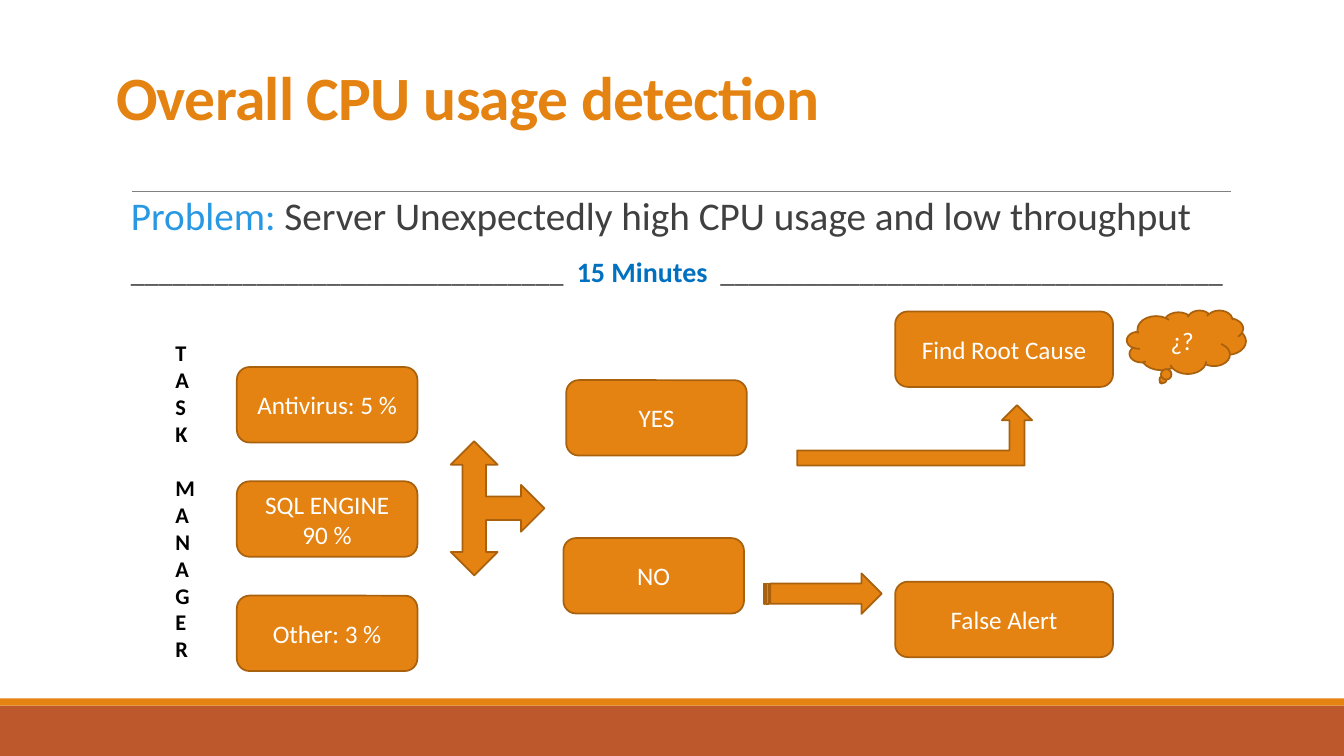
"""Build the slide on detecting overall CPU usage."""
from lxml.etree import SubElement
from pptx import Presentation
from pptx.dml.color import RGBColor
from pptx.enum.shapes import MSO_CONNECTOR, MSO_SHAPE
from pptx.enum.text import MSO_ANCHOR, MSO_AUTO_SIZE, PP_ALIGN
from pptx.oxml.ns import qn
from pptx.util import Cm, Pt

ORANGE, RUST, EDGE = "E48312", "BD582C", "A9610D"
TITLE = "Overall CPU usage detection"
BODY = [
    [("Problem:", 28, "2998E3", False),
     (" Server Unexpectedly high CPU usage and low throughput", 28, "404040", False)],
    [("_" * 31 + "  ", 20, "404040", False),
     ("15 Minutes", 20, "0070C0", True),
     ("  " + "_" * 36, 20, "404040", False)],
]
SIDE_WORDS = ["TASK", "MANAGER"]
PROCESSES = ["Antivirus: 5 %", "SQL ENGINE 90 %", "Other: 3 %"]
PROCESS_LEFT, PROCESS_TOP, PROCESS_STEP = 5.97, 9.25, 2.88
BOX_WIDTH, WIDE_BOX, BOX_HEIGHT = 4.55, 5.49, 1.9
STEPS = [
    ("YES", 14.27, 9.58, BOX_WIDTH),
    ("NO", 14.2, 13.56, BOX_WIDTH),
    ("Find Root Cause", 22.56, 7.85, WIDE_BOX),
    ("False Alert", 22.56, 14.66, WIDE_BOX),
]
SYMBOLS = [
    (MSO_SHAPE.LEFT_RIGHT_UP_ARROW, (10.85, 11.63, 3.38, 2.36), 90, ""),
    (MSO_SHAPE.BENT_UP_ARROW, (20.09, 10.21, 5.92, 1.52), 0, ""),
    (MSO_SHAPE.STRIPED_RIGHT_ARROW, (19.25, 14.45, 2.97, 1.02), 0, ""),
    (MSO_SHAPE.CLOUD_CALLOUT, (28.4, 7.82, 3, 1.6), 0, "¿?"),
]
BANDS = [(17.78, 1.27, RUST), (17.6, 0.18, ORANGE)]
PAGE_WIDTH, PAGE_HEIGHT = 33.87, 19.05


def color(value):
    return RGBColor.from_string(value)


def apply(target, values):
    for name, value in values.items():
        setattr(target, name, value)


def place(shape, area):
    sides = ("left", "top", "width", "height")
    apply(shape, dict(zip(sides, map(Cm, area))))


def add_span(para, text, size, tint, bold=False):
    span = para.add_run()
    span.text = text
    apply(span.font, {"name": "Calibri", "size": Pt(size), "bold": bold})
    span.font.color.rgb = color(tint)
    return span


def add_figure(page, kind, area, fill=ORANGE, edge=EDGE, text="", turn=0):
    figure = page.shapes.add_shape(kind, *map(Cm, area))
    apply(figure, {"rotation": turn})
    figure.shadow.inherit = False
    figure.fill.solid()
    figure.fill.fore_color.rgb = color(fill)
    if edge:
        figure.line.color.rgb = color(edge)
        figure.line.width = Pt(1.25)
    else:
        figure.line.fill.background()
    if text:
        apply(figure.text_frame, {"word_wrap": True, "vertical_anchor": MSO_ANCHOR.MIDDLE})
        para = figure.text_frame.paragraphs[0]
        para.alignment = PP_ALIGN.CENTER
        add_span(para, text, 18, "FFFFFF")


def add_rule(page):
    rule = page.shapes.add_connector(
        MSO_CONNECTOR.STRAIGHT, Cm(3.33), Cm(4.83), Cm(31.01), Cm(4.83))
    rule.line.color.rgb = color("808080")
    rule.line.width = Pt(0.5)
    SubElement(rule._element.spPr, qn("a:effectLst"))


def fill_title(title):
    place(title, (2.67, 1.04, 27.94, 2.44))
    apply(title.text_frame, {"vertical_anchor": MSO_ANCHOR.BOTTOM, "word_wrap": True,
                             "auto_size": MSO_AUTO_SIZE.NONE})
    para = title.text_frame.paragraphs[0]
    apply(para, {"alignment": PP_ALIGN.LEFT, "line_spacing": 0.85})
    span = add_span(para, TITLE, 44, ORANGE, True)
    span.font._element.set("spc", "-50")


def fill_body(body):
    place(body, (3.05, 4.83, 27.94, 11.18))
    frame = body.text_frame
    apply(frame, {"margin_left": 0, "margin_right": 0, "word_wrap": True,
                  "vertical_anchor": MSO_ANCHOR.TOP, "auto_size": MSO_AUTO_SIZE.NONE})
    for index, spans in enumerate(BODY):
        para = frame.add_paragraph() if index else frame.paragraphs[0]
        layout = para._p.get_or_add_pPr()
        layout.set("marL", str(Cm(0.25)))
        layout.set("indent", "0")
        SubElement(layout, qn("a:buNone"))
        apply(para, {"line_spacing": 0.9, "space_after": Pt(2),
                     "space_before": Pt(12 if index else 0)})
        for span in spans:
            add_span(para, *span)


def add_side_label(page):
    box = page.shapes.add_textbox(*map(Cm, (4.17, 8.43, 0.97, 8.46)))
    frame = box.text_frame
    frame.word_wrap = True
    apply(frame, {"margin_right": 0})
    for word_index, word in enumerate(SIDE_WORDS):
        for index, letter in enumerate(word):
            first = word_index == index == 0
            para = frame.paragraphs[0] if first else frame.add_paragraph()
            if word_index and index == 0:
                para.space_before = Pt(19.5)
            add_span(para, letter, 16, "000000", True)


def main():
    deck = Presentation()
    apply(deck, {"slide_width": Cm(PAGE_WIDTH), "slide_height": Cm(PAGE_HEIGHT)})
    page = deck.slides.add_slide(deck.slide_layouts[1])
    for top, height, fill in BANDS:
        add_figure(page, MSO_SHAPE.RECTANGLE, (0, top, PAGE_WIDTH, height), fill, None)
    add_rule(page)
    fill_title(page.shapes.title)
    fill_body(page.placeholders[1])
    add_side_label(page)
    processes = [(name, PROCESS_LEFT, PROCESS_TOP + row * PROCESS_STEP, BOX_WIDTH)
                 for row, name in enumerate(PROCESSES)]
    for text, left, top, width in processes + STEPS:
        add_figure(page, MSO_SHAPE.ROUNDED_RECTANGLE,
                   (left, top, width, BOX_HEIGHT), text=text)
    for kind, area, turn, text in SYMBOLS:
        add_figure(page, kind, area, text=text, turn=turn)
    deck.save("out.pptx")


if __name__ == "__main__":
    main()
